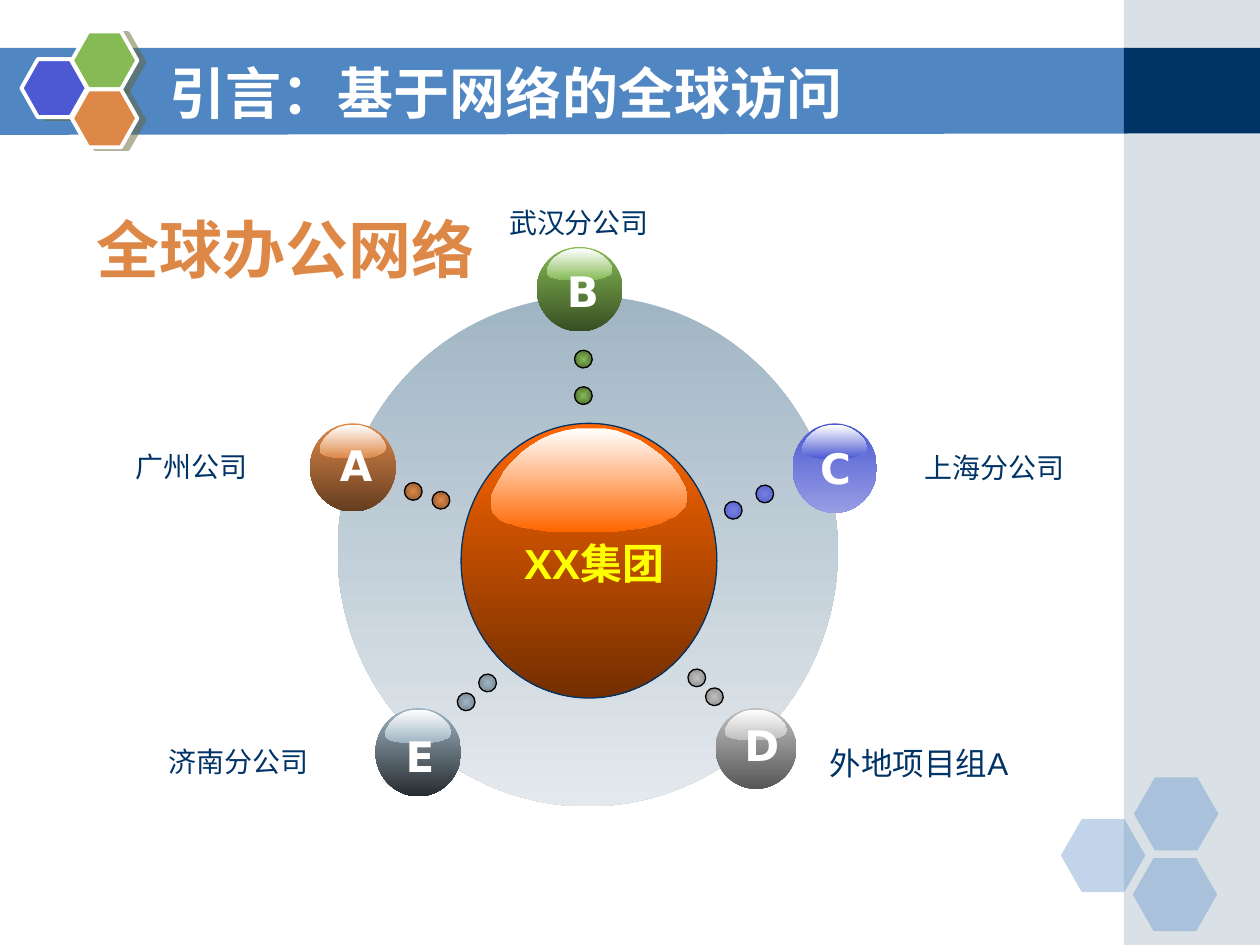
from collections import namedtuple

from lxml import etree
from pptx import Presentation, util as u
from pptx.dml.color import RGBColor
from pptx.enum import shapes as kinds, text as styles
from pptx.oxml import ns

PX = 9144  # EMU per px, 100 px to the inch

WHITE = RGBColor(0xFF, 0xFF, 0xFF)
BLACK = RGBColor(0x00, 0x00, 0x00)
BLUE = RGBColor(0x50, 0x86, 0xC2)
NAVY = RGBColor(0x00, 0x33, 0x66)
STEEL = RGBColor(0xA0, 0xB5, 0xC4)
MIST = RGBColor(0xE4, 0xE9, 0xED)
SLATE = RGBColor(0x6A, 0x78, 0x82)
INK = RGBColor(0x26, 0x2B, 0x2F)
VIOLET = RGBColor(0x4C, 0x59, 0xD2)
LILAC = RGBColor(0x97, 0x9E, 0xE4)
IRIS = RGBColor(0x77, 0x80, 0xDC)
GREEN = RGBColor(0x85, 0xBA, 0x54)
MOSS = RGBColor(0x3C, 0x54, 0x26)
FOREST = RGBColor(0x38, 0x4E, 0x23)
ORANGE = RGBColor(0xDE, 0x88, 0x48)
RUST = RGBColor(0x7F, 0x4E, 0x29)
BROWN = RGBColor(0x64, 0x3D, 0x20)
SILVER = RGBColor(0xC0, 0xC0, 0xC0)
GREY = RGBColor(0x7F, 0x7F, 0x7F)
GRAPHITE = RGBColor(0x57, 0x57, 0x57)
FLAME = RGBColor(0xFF, 0x66, 0x00)
EMBER = RGBColor(0x73, 0x2E, 0x00)
YELLOW = RGBColor(0xFF, 0xFF, 0x00)

OVAL, HEXAGON, RECTANGLE = (kinds.MSO_SHAPE.OVAL, kinds.MSO_SHAPE.HEXAGON,
                            kinds.MSO_SHAPE.RECTANGLE)

TITLE = {"name": "DejaVu Sans", "size": u.Pt(32), "bold": True}
HEADING = {"name": "Arial", "size": u.Pt(36), "bold": True}
CORE = {"name": "Arial", "size": u.Pt(24), "bold": True}
LETTER = {"name": "DejaVu Sans", "size": u.Pt(24), "bold": True}
LABEL = {"name": "Arial", "size": u.Pt(16)}
LARGE_LABEL = {"name": "Arial", "size": u.Pt(18)}

# Outline of the highlight on a ball, on a grid of 156 by 82
GLOSS_GRID = (156, 82)
GLOSS = [
    (154, 46), (156, 51), (156, 59), (154, 63), (150, 67), (147, 70), (141, 72),
    (136, 75), (129, 77), (122, 79), (114, 80), (106, 81), (97, 82), (56, 82),
    (48, 82), (41, 81), (34, 80), (28, 79), (22, 78), (17, 76), (12, 75), (8, 73),
    (5, 70), (2, 67), (1, 64), (0, 60), (0, 56), (2, 51), (6, 43), (11, 34),
    (17, 27), (24, 20), (32, 14), (40, 9), (49, 5), (59, 2), (69, 0), (79, 0),
    (90, 0), (100, 2), (110, 6), (119, 10), (128, 16), (136, 22), (143, 29), (149, 37),
]


class Box(namedtuple("Box", "left top width height")):
    def inner(self, left, top, width, height):
        return Box(self.left + left, self.top + top, width, height)

    def emu(self):
        return [round(length * PX) for length in self]


# ball and label are relative to the network, letter to the ball
Branch = namedtuple("Branch", "letter name ball letter_box label label_format "
                              "colours dot_colours dots")
BRANCHES = [
    Branch("B", "武汉分公司", (368, 38, 68, 67), (14, 10, 42, 50), (308, 0, 187, 37), LABEL,
           (GREEN, FOREST), (GREEN, MOSS), [(398, 120), (398, 149)]),
    Branch("E", "济南分公司", (240, 404, 68, 70), (14, 13, 38, 50), (38, 428, 187, 37), LABEL,
           (STEEL, INK), (STEEL, SLATE), [(305, 392), (322, 377)]),
    Branch("C", "上海分公司", (571, 178, 67, 71), (12, 10, 41, 50), (638, 195, 187, 37), LABEL,
           (VIOLET, LILAC), (IRIS, VIOLET), [(542, 227), (517, 240)]),
    Branch("D", "外地项目组A", (510, 404, 64, 64), (13, 4, 44, 50), (578, 428, 187, 40),
           LARGE_LABEL, (SILVER, GRAPHITE), (SILVER, GREY), [(502, 388), (488, 373)]),
    Branch("A", "广州公司", (188, 178, 68, 70), (14, 8, 43, 50), (0, 194, 188, 37), LABEL,
           (ORANGE, BROWN), (ORANGE, RUST), [(263, 225), (285, 232)]),
]


def paint(shape, fill, line=None, weight=0.75, alpha=None):
    """Fill with one colour, or with a top-to-bottom gradient for a pair."""
    shape.shadow.inherit = False
    if isinstance(fill, RGBColor):
        shape.fill.solid()
        shape.fill.fore_color.rgb = fill
    else:
        shape.fill.gradient()
        shape.fill.gradient_angle = 270
        for stop, colour in zip(shape.fill.gradient_stops, fill):
            stop.color.rgb = colour
    if alpha:
        colour = shape._element.spPr.find(".//" + ns.qn("a:srgbClr"))
        etree.SubElement(colour, ns.qn("a:alpha"), val=str(alpha * 1000))
    if line is None:
        shape.line.fill.background()
    else:
        shape.line.color.rgb = line
        shape.line.width = u.Pt(weight)
    return shape


def add_preset(page, kind, box, fill, **options):
    return paint(page.shapes.add_shape(kind, *box.emu()), fill, **options)


def add_outline(page, points, fill):
    points = [(round(x * PX), round(y * PX)) for x, y in points]
    builder = page.shapes.build_freeform(*points[0])
    builder.add_line_segments(points[1:], close=True)
    return paint(builder.convert_to_shape(), fill)


def add_text(page, box, wording, formats, colour, centred=True, wrap=True, middle=False):
    frame = page.shapes.add_textbox(*box.emu()).text_frame
    frame.word_wrap = wrap
    if middle:
        frame.vertical_anchor = styles.MSO_ANCHOR.MIDDLE
    para = frame.paragraphs[0]
    para.alignment = styles.PP_ALIGN.CENTER if centred else styles.PP_ALIGN.LEFT
    span = para.add_run()
    span.text = wording
    for name, value in formats.items():
        setattr(span.font, name, value)
    span.font.color.rgb = colour


def add_hexagons(page, box, size, spots, fills, adjust, shadow=False, **options):
    for spot, fill in zip(spots, fills):
        hexagon = add_preset(page, HEXAGON, box.inner(*spot, *size), fill, **options)
        hexagon.adjustments[0] = adjust
        if shadow:
            effects = hexagon._element.spPr.find(ns.qn("a:effectLst"))
            outer = etree.SubElement(effects, ns.qn("a:outerShdw"), dist="52070",
                                     dir="840000", algn="ctr", rotWithShape="0")
            tone = etree.SubElement(outer, ns.qn("a:srgbClr"), val="666633")
            etree.SubElement(tone, ns.qn("a:alpha"), val="50000")


def add_backdrop(page, box):
    # Title band, side panel and pale hexagons
    add_outline(page, [(box.left + x, box.top + y) for x, y in
                       [(-1, 38), (895, 38), (895, 106), (-1, 107)]], BLUE)
    add_preset(page, RECTANGLE, box.inner(892, 0, 108, 750), STEEL, alpha=40)
    add_preset(page, RECTANGLE, box.inner(892, 38, 108, 68), NAVY)
    add_hexagons(page, box.inner(842, 617, 125, 122), (67, 58),
                 [(0, 33), (58, 0), (57, 64)], [BLUE] * 3, 0.286, alpha=35)


def add_header(page, box):
    add_hexagons(page, box.inner(17, 0, 92, 92), (52, 46), [(0, 22), (40, 0), (40, 46)],
                 [VIOLET, GREEN, ORANGE], 0.283, shadow=True, line=WHITE, weight=2.25)
    add_text(page, box.inner(125, 17, 733, 62), "引言：基于网络的全球访问", TITLE, WHITE,
             centred=False, middle=True)


def add_ball(page, box, colours, **options):
    add_preset(page, OVAL, box, colours, **options)
    left, top = box.left + 0.115 * box.width, box.top + 0.018 * box.height
    across, down = 0.768 * box.width / GLOSS_GRID[0], 0.376 * box.height / GLOSS_GRID[1]
    add_outline(page, [(left + x * across, top + y * down) for x, y in GLOSS],
                (WHITE, colours[0]))


def add_dot(page, box, colours):
    dot = add_preset(page, OVAL, box, colours, line=BLACK)
    dot.rotation = 303.8
    # Turn the linear gradient into one that runs out from the centre
    gradient = dot._element.spPr.find(ns.qn("a:gradFill"))
    gradient.remove(gradient.find(ns.qn("a:lin")))
    spread = etree.SubElement(gradient, ns.qn("a:path"), {"path": "rect"})
    etree.SubElement(spread, ns.qn("a:fillToRect"), dict.fromkeys("ltrb", "50000"))


def add_network(page, box):
    # Disc and head office
    add_preset(page, OVAL, box.inner(210, 77, 397, 405), (STEEL, MIST))
    add_ball(page, box.inner(308, 178, 203, 218), (FLAME, EMBER), line=NAVY)
    add_text(page, box.inner(344, 264, 139, 50), "XX集团", CORE, YELLOW, wrap=False)
    # Branches around it
    for branch in BRANCHES:
        ball = box.inner(*branch.ball)
        add_ball(page, ball, branch.colours)
        add_text(page, ball.inner(*branch.letter_box), branch.letter, LETTER, WHITE, wrap=False)
        for spot in branch.dots:
            add_dot(page, box.inner(*spot, 14, 14), branch.dot_colours)
        add_text(page, box.inner(*branch.label), branch.name, branch.label_format, NAVY)


def main():
    deck = Presentation()
    deck.slide_width, deck.slide_height = 1000 * PX, 750 * PX
    page = deck.slides.add_slide(deck.slide_layouts[6])
    add_backdrop(page, Box(0, 0, 1000, 750))
    add_header(page, Box(0, 25, 892, 92))
    add_network(page, Box(58, 158, 825, 482))
    add_text(page, Box(67, 162, 370, 70), "全球办公网络", HEADING, ORANGE, centred=False)
    deck.save("out.pptx")


if __name__ == "__main__":
    main()
